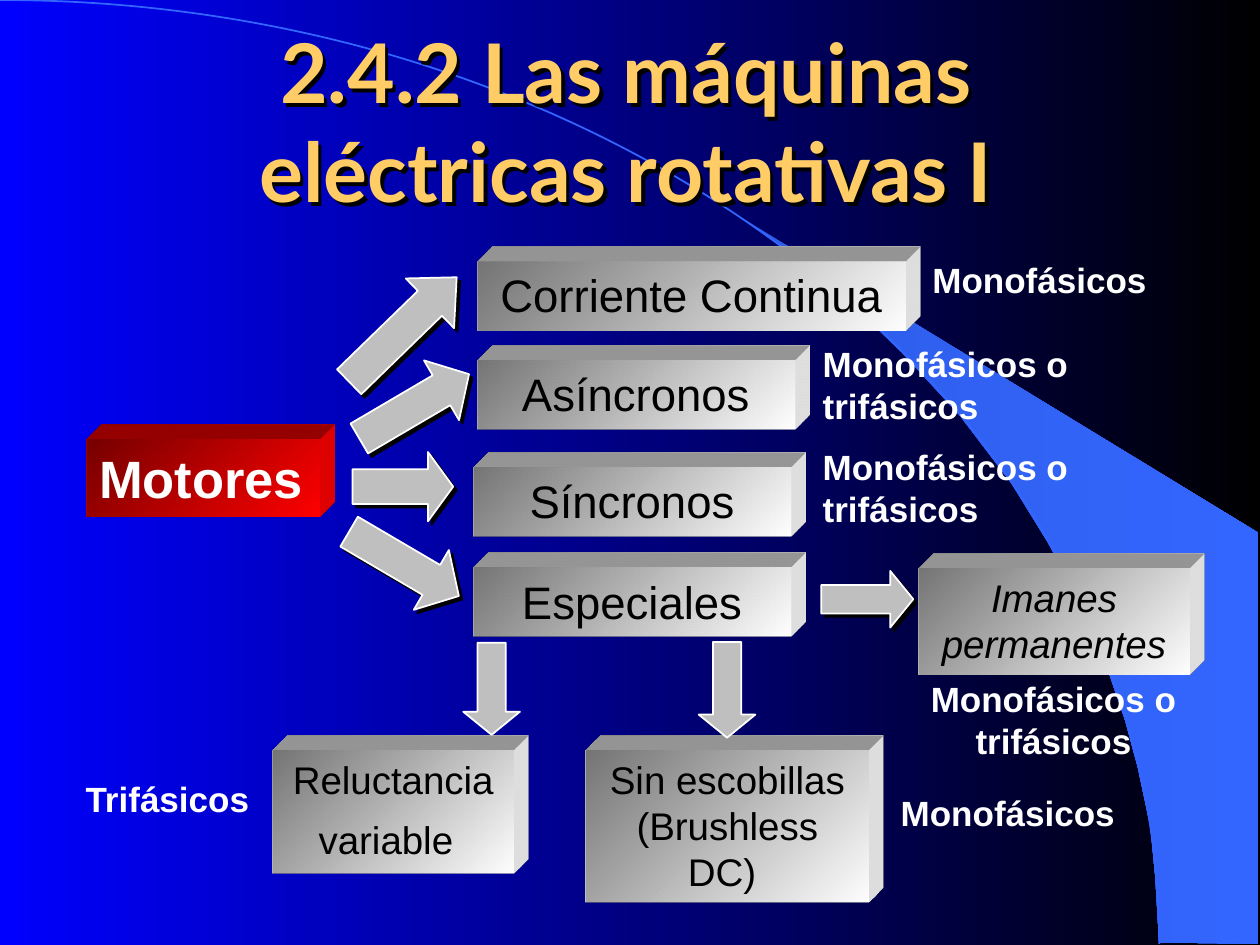
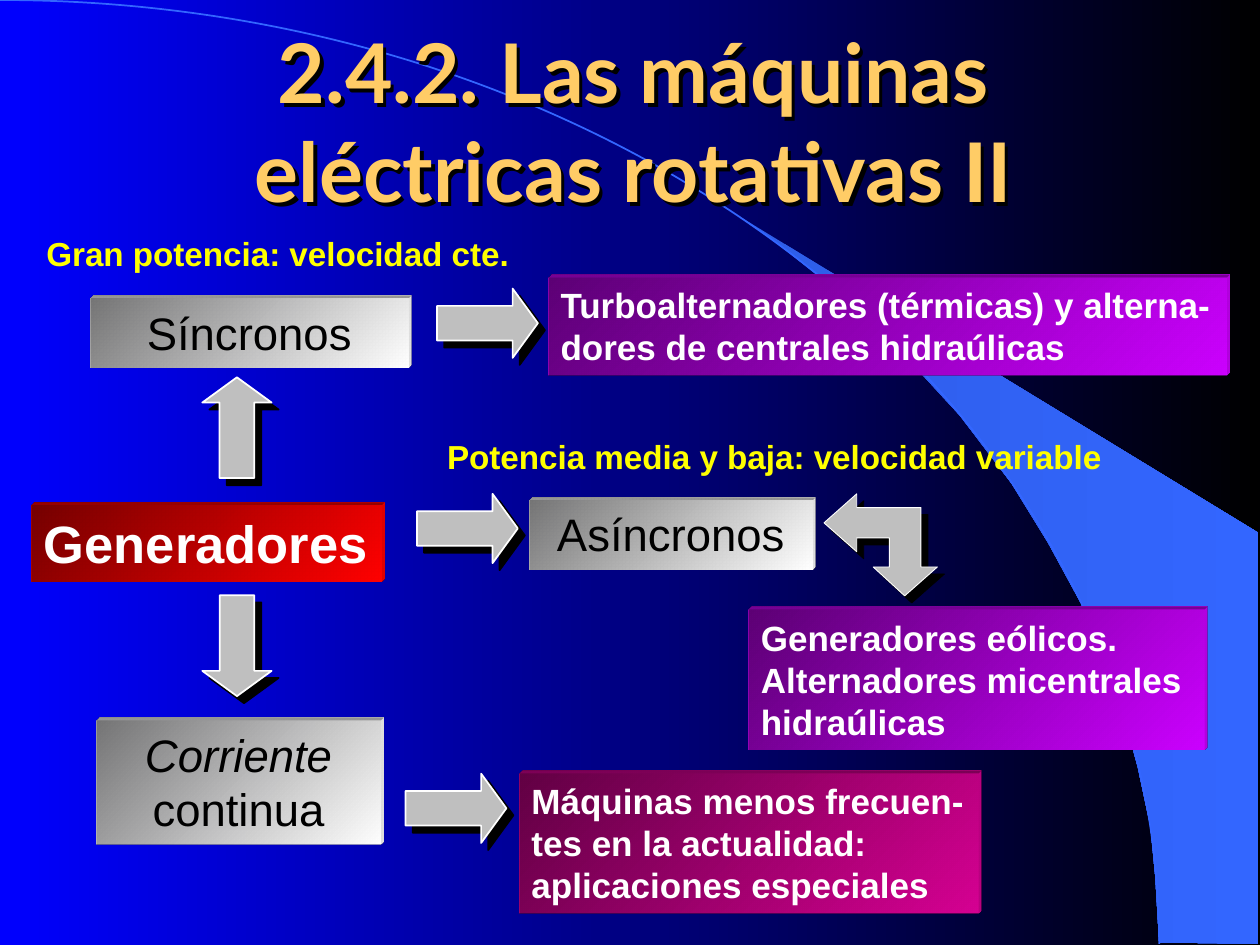
import dataclasses
import typing

import lxml.etree
import pptx
import pptx.dml.color
import pptx.enum.shapes
import pptx.enum.text
import pptx.oxml.ns
import pptx.util

ALIGN = pptx.enum.text.PP_ALIGN
ANCHOR = pptx.enum.text.MSO_ANCHOR
SHAPE = pptx.enum.shapes.MSO_SHAPE
Pt = pptx.util.Pt
qn = pptx.oxml.ns.qn


class Skin(typing.NamedTuple):
    start: str
    end: str
    text: str


@dataclasses.dataclass(frozen=True)
class Theme:
    font: str = "Arial"
    title_font: str = "Lato"
    title: str = "FFCC66"
    background: tuple = ("0000FF", "000000")
    band: tuple = ("2E5DE7", "3366FF")
    arc: str = "3366FF"
    arrow: str = "BFBFBF"
    white: str = "FFFFFF"
    shadow: str = "000000"
    note: str = "FFFF00"
    grey: Skin = Skin("767676", "FFFFFF", "000000")
    red: Skin = Skin("760000", "FF0000", "FFFFFF")
    purple: Skin = Skin("5E0076", "CC00FF", "FFFFFF")
    magenta: Skin = Skin("630044", "D60093", "FFFFFF")
    title_size: int = 47
    root_size: int = 30
    box_size: int = 26
    small_box_size: int = 22
    label_size: int = 20
    note_size: int = 19
    deep: float = 24
    flat: float = 5
    near_shadow: float = 2.8
    far_shadow: float = 5.7


THEME = Theme()


class Box(typing.NamedTuple):
    left: float
    top: float
    width: float
    height: float

    def inside(self, left, top, width, height):
        return Box(self.left + left, self.top + top, width, height)

    def lengths(self):
        return [Pt(value) for value in self]


def assign(target, values):
    for name, value in values.items():
        setattr(target, name, value)


def color(value):
    return pptx.dml.color.RGBColor.from_string(value)


def add_node(parent, tag, **attributes):
    return lxml.etree.SubElement(parent, qn(tag), attributes)


def paint_gradient(fill, colors, angle=0):
    fill.gradient()
    fill.gradient_angle = angle
    for stop, value in zip(fill.gradient_stops, colors):
        stop.color.rgb = color(value)


def paint_solid(fill, value):
    fill.solid()
    fill.fore_color.rgb = color(value)


def paint_line(line, value, width):
    line.color.rgb = color(value)
    line.width = Pt(width)


def add_shadow(shape, distance):
    shape.shadow.inherit = False
    effects = shape.element.spPr.find(qn("a:effectLst"))
    shadow = add_node(effects, "a:outerShdw", blurRad="0", dist=str(int(Pt(distance))),
                      dir="2700000", algn="ctr", rotWithShape="0")
    add_node(shadow, "a:srgbClr", val=THEME.shadow)


def extrude(shape, depth, value):
    scene = add_node(shape.element.spPr, "a:scene3d")
    add_node(scene, "a:camera", prst="legacyObliqueTopRight")
    add_node(scene, "a:lightRig", rig="legacyFlat3", dir="b")
    solid = add_node(shape.element.spPr, "a:sp3d", extrusionH=str(int(Pt(depth))),
                     prstMaterial="legacyMatte")
    add_node(add_node(solid, "a:extrusionClr"), "a:srgbClr", val=value)


def write(shape, runs, size, value, align=ALIGN.LEFT, anchor=ANCHOR.TOP, **font):
    frame = shape.text_frame
    assign(frame, {
        "word_wrap": True, "auto_size": pptx.enum.text.MSO_AUTO_SIZE.NONE,
        "vertical_anchor": anchor,
        "margin_left": Pt(7.2), "margin_right": Pt(7.2),
        "margin_top": Pt(3.6), "margin_bottom": Pt(3.6)})
    paragraph = frame.paragraphs[0]
    paragraph.alignment = align
    for text, changes in [(runs, {})] if isinstance(runs, str) else runs:
        run = paragraph.add_run()
        run.text = text
        values = {"name": THEME.font, "size": Pt(size), "bold": False, "italic": False}
        assign(run.font, {**values, **font, **changes})
        run.font.color.rgb = color(value)


def add_outline(slide, points, close=True):
    scaled = [(x * 100, y * 100) for x, y in points]
    builder = slide.shapes.build_freeform(*scaled[0], scale=Pt(1) / 100)
    builder.add_line_segments(scaled[1:], close=close)
    shape = builder.convert_to_shape()
    shape.shadow.inherit = False
    return shape


def add_block(slide, box, runs, skin=THEME.grey, size=THEME.box_size,
              depth=THEME.deep, align=ALIGN.CENTER, **font):
    block = slide.shapes.add_shape(SHAPE.RECTANGLE, *box.lengths())
    block.shadow.inherit = False
    paint_gradient(block.fill, (skin.start, skin.end), 315)
    block.line.fill.background()
    extrude(block, depth, skin.end)
    write(block, runs, size, skin.text, align, **font)


def finish_arrow(shape, shadow, width=1):
    paint_solid(shape.fill, THEME.arrow)
    paint_line(shape.line, THEME.white, width)
    shape.shadow.inherit = False
    if shadow:
        add_shadow(shape, shadow)


def add_arrow(slide, box, shadow, rotation=0, head=0.364):
    arrow = slide.shapes.add_shape(SHAPE.RIGHT_ARROW, *box.lengths())
    arrow.rotation = rotation
    arrow.adjustments[0], arrow.adjustments[1] = 0.5, head
    finish_arrow(arrow, shadow)


def add_label(slide, box, text, size=THEME.label_size, value=THEME.white, align=ALIGN.LEFT):
    label = slide.shapes.add_textbox(*box.lengths())
    write(label, text, size, value, align, bold=True)


def add_note(slide, box, text):
    add_label(slide, box, text, THEME.note_size, THEME.note)


def add_title(slide, box, text):
    title = slide.shapes.title
    assign(title, dict(zip(("left", "top", "width", "height"), box.lengths())))
    write(title, text, THEME.title_size, THEME.title, ALIGN.CENTER, ANCHOR.MIDDLE,
          name=THEME.title_font, bold=True)
    title.fill.background()
    add_shadow(title, THEME.near_shadow)


def add_arc(slide, width, height):
    arc = add_outline(slide, [(0, 0), (width, height)], close=False)
    segment = next(arc.element.iter(qn("a:lnTo")))
    curve = lxml.etree.Element(qn("a:cubicBezTo"))
    for x, y in [(0.552, 0), (1, 0.447), (1, 1)]:
        add_node(curve, "a:pt", x=str(round(x * width * 100)), y=str(round(y * height * 100)))
    segment.getparent().replace(segment, curve)
    arc.fill.background()
    paint_line(arc.line, THEME.arc, 1)
    return arc


def decorate_master(master, slide):
    paint_gradient(master.background.fill, THEME.background)
    band = add_outline(slide, [
        (662.4, 538.6), (719.3, 539.3), (719.3, 304.6), (424.1, 124.6), (449.3, 143.3),
        (470.2, 159.8), (493.2, 180), (515.5, 201.6), (548.6, 237.6), (578.2, 276.5),
        (599, 310.3), (617.8, 344.9), (632.2, 380.2), (643, 411.8), (650.2, 438.5),
        (657.4, 472.3), (660.2, 501.1)])
    paint_gradient(band.fill, THEME.band)
    band.line.fill.background()
    arc = add_arc(slide, 662.4, 539.3)
    for position, shape in enumerate((band, arc), start=2):
        master.element.cSld.spTree.insert(position, shape.element)


def draw_motor_families(slide, box):
    add_block(slide, box.inside(-0.5, 107.3, 133.2, 44), "Motores", THEME.red,
              THEME.root_size, align=ALIGN.LEFT, bold=True)
    families = [("Corriente Continua", 222.7, 5.2, 245), ("Asíncronos", 222.7, 61.8, 181.4),
                ("Síncronos", 220.5, 122.9, 181.4), ("Especiales", 220.5, 180.3, 181.4)]
    for name, left, top, width in families:
        add_block(slide, box.inside(left, top, width, 39.6), name)
    arrows = [(151.4, 114.3, 57.6, 0, 0.364), (144.5, 158.4, 72.7, 30.4, 0.46),
              (150.3, 68.4, 72.7, 329.6, 0.46), (137.4, 24.5, 85.7, 315.8, 0.539)]
    for left, top, width, rotation, head in arrows:
        add_arrow(slide, box.inside(left, top, width, 39.6), THEME.near_shadow, rotation, head)
    add_label(slide, box.inside(475.7, 0, 152, 31), "Monofásicos")
    for top in (48.2, 106.8):
        add_label(slide, box.inside(413, top, 209, 55.4), "Monofásicos o trifásicos")


def draw_special_motors(slide, box):
    size = THEME.small_box_size
    add_block(slide, box.inside(482.9, -0.5, 154.8, 61.2), "Imanes permanentes",
              size=size, italic=True)
    add_block(slide, box.inside(113.6, 103.5, 138.2, 70.6),
              [("Reluctancia variable", {}), (" ", {"size": Pt(THEME.root_size)})], size=size)
    add_block(slide, box.inside(292.6, 103.5, 162, 87.1),
              "Sin escobillas (Brushless DC) ", size=size)
    arrows = [(427.3, 1.2, 52.6, 0, THEME.near_shadow), (346.1, 53, 54.7, 90, 0),
              (212.6, 52.4, 52.6, 90, 0)]
    for left, top, width, rotation, shadow in arrows:
        add_arrow(slide, box.inside(left, top, width, 32.4), shadow, rotation, 0.407)
    add_label(slide, box.inside(465.6, 123.6, 152, 31), "Monofásicos")
    add_label(slide, box.inside(-0.2, 115.6, 152, 31), "Trifásicos")
    add_label(slide, box.inside(455.5, 58.8, 209, 55.4), "Monofásicos o trifásicos",
              align=ALIGN.CENTER)


def add_generator(slide, box, runs, **font):
    add_block(slide, box, runs, depth=THEME.flat, **font)


def add_use(slide, box, text, skin=THEME.purple):
    add_block(slide, box, text, skin, THEME.label_size, THEME.flat, ALIGN.LEFT, bold=True)


def add_branch_arrow(slide, box, left, top, rotation=0):
    add_arrow(slide, box.inside(left, top, 57.6, 39.6), THEME.far_shadow, rotation)


def draw_synchronous_branch(slide, box):
    add_note(slide, box.inside(1.4, -0.4, 301, 30.2), "Gran potencia: velocidad cte.")
    add_generator(slide, box.inside(33.8, 40.6, 181.4, 39.6), "Síncronos")
    add_use(slide, box.inside(295.2, 28.4, 387.4, 56.2),
            "Turboalternadores (térmicas) y alterna-dores de centrales hidraúlicas")
    add_branch_arrow(slide, box, 231.8, 34.9)
    add_branch_arrow(slide, box, 88.6, 94.6, 270)


def draw_asynchronous_branch(slide, box):
    add_note(slide, box.inside(10.4, 0.5, 407.5, 30.2),
             "Potencia media y baja: velocidad variable")
    add_generator(slide, box.inside(64.4, 40.8, 162, 39.6), "Asíncronos")
    corners = [(0, 16.6), (18.7, 33.1), (18.7, 25.2), (37.4, 25.2), (37.4, 41.8),
               (28.1, 41.8), (46.1, 58.3), (64.8, 41.8), (55.4, 41.8), (55.4, 7.9),
               (18.7, 7.9), (18.7, 0)]
    bent_arrow = add_outline(
        slide, [(box.left + 232.9 + x, box.top + 37.2 + y) for x, y in corners])
    finish_arrow(bent_arrow, THEME.far_shadow, 0.5)
    add_use(slide, box.inside(189.7, 103.5, 260.6, 79.9),
            "Generadores eólicos. Alternadores micentrales hidraúlicas")
    add_branch_arrow(slide, box, 0.3, 37.2)


def draw_direct_current_branch(slide, box):
    add_generator(slide, box.inside(0.4, 62.8, 162, 70.6),
                  [("Corriente ", {"italic": True}), ("continua", {})])
    add_use(slide, box.inside(241.6, 93.1, 262.8, 79.9),
            "Máquinas menos frecuen-tes en la actualidad: aplicaciones especiales",
            THEME.magenta)
    add_branch_arrow(slide, box, 51.6, 0.2, 90)
    add_branch_arrow(slide, box, 176.8, 93.1)


def draw_motors(slide, box):
    add_title(slide, box.inside(54, 23.8, 607.7, 90), "2.4.2 Las máquinas eléctricas rotativas I")
    draw_motor_families(slide, box.inside(50, 144, 628, 221))
    draw_special_motors(slide, box.inside(42, 325, 664, 190))


def draw_generators(slide, box):
    add_title(slide, box.inside(58.3, 23.8, 607.7, 90),
              "2.4.2. Las máquinas eléctricas rotativas II")
    add_block(slide, box.inside(18, 288.7, 200.2, 43.9), "Generadores", THEME.red,
              THEME.root_size, THEME.flat, ALIGN.LEFT, bold=True)
    draw_synchronous_branch(slide, box.inside(18, 130, 683, 135))
    draw_asynchronous_branch(slide, box.inside(238, 245, 451, 184))
    draw_direct_current_branch(slide, box.inside(55, 349, 504, 173))


def main():
    presentation = pptx.Presentation()
    page = Box(0, 0, 720, 540)
    presentation.slide_width, presentation.slide_height = Pt(page.width), Pt(page.height)
    title_only = presentation.slide_layouts[5]
    motors, generators = [presentation.slides.add_slide(title_only) for _ in range(2)]
    decorate_master(presentation.slide_master, motors)
    draw_motors(motors, page)
    draw_generators(generators, page)
    presentation.save("out.pptx")


if __name__ == "__main__":
    main()
